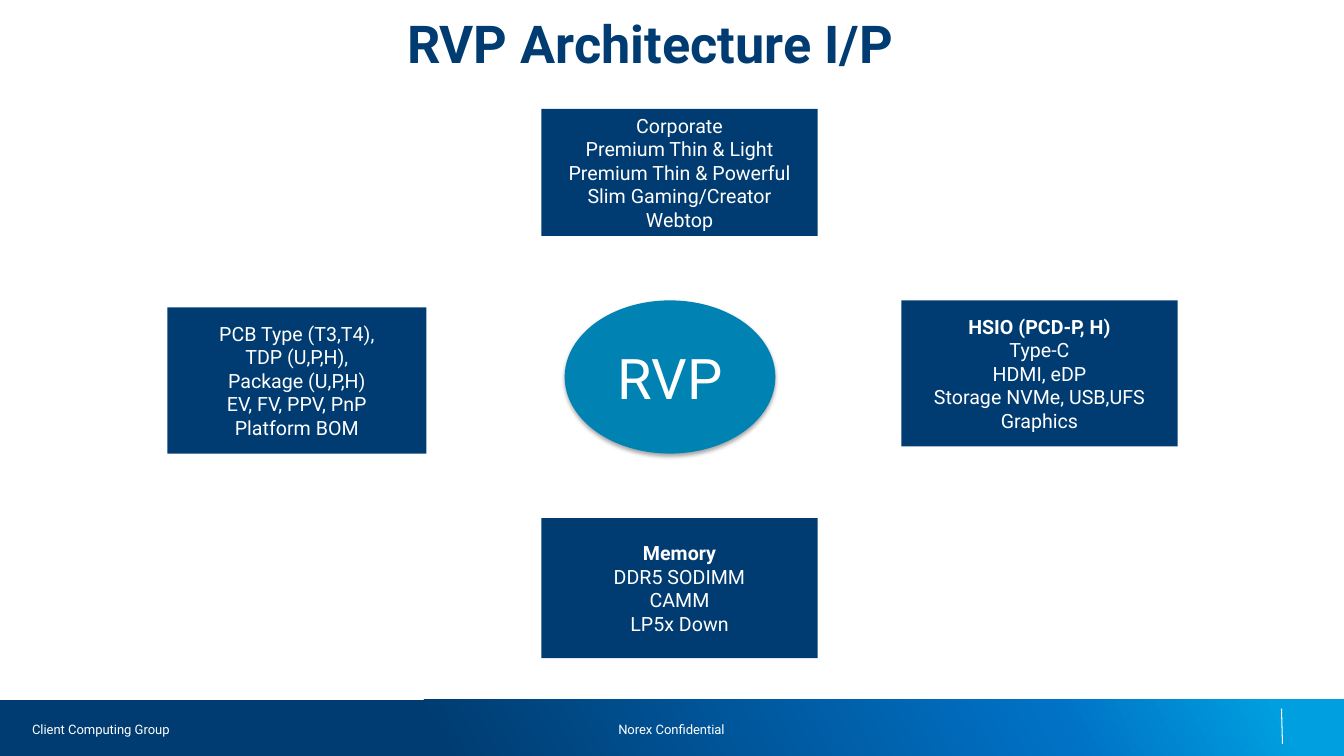
from copy import deepcopy

from lxml.etree import SubElement
from pptx import Presentation
from pptx.dml.color import RGBColor
from pptx.enum.shapes import MSO_CONNECTOR, MSO_SHAPE
from pptx.enum.text import MSO_ANCHOR, MSO_AUTO_SIZE, PP_ALIGN
from pptx.oxml import parse_xml
from pptx.oxml.ns import nsdecls, qn
from pptx.util import Inches, Pt

FONT = "Roboto"
NAVY = RGBColor(0x00, 0x3C, 0x71)
TEAL = RGBColor(0x00, 0x83, 0xB3)
BLUE = RGBColor(0x00, 0x71, 0xC5)
SKY = RGBColor(0x00, 0x9F, 0xDF)
WHITE = RGBColor(0xFF, 0xFF, 0xFF)

# Each topic: left, top, width, height, heading (or None), lines
TOPICS = [
    (5.37, 1.08, 2.74, 1.26, None,
     ["Corporate", "Premium Thin & Light", "Premium Thin & Powerful",
      "Slim Gaming/Creator", "Webtop"]),
    (1.66, 3.05, 2.57, 1.45, None,
     ["PCB Type (T3,T4),", "TDP (U,P,H),", "Package (U,P,H)",
      "EV, FV, PPV, PnP", "Platform BOM"]),
    (8.94, 2.98, 2.74, 1.45, "HSIO (PCD-P, H)",
     ["Type-C", "HDMI, eDP", "Storage NVMe, USB,UFS", "Graphics"]),
    (5.37, 5.14, 2.74, 1.39, "Memory",
     ["DDR5 SODIMM", "CAMM", "LP5x Down"]),
]


def set_margins(frame, side, end):
    frame.margin_left = frame.margin_right = Inches(side)
    frame.margin_top = frame.margin_bottom = Inches(end)


def write_lines(frame, lines, size, color=WHITE, heading=None):
    """Fill a frame with centred lines, the heading in bold."""
    for index, line in enumerate(([heading] if heading else []) + lines):
        para = frame.paragraphs[0] if index == 0 else frame.add_paragraph()
        para.text = line
        para.alignment = PP_ALIGN.CENTER
        para.font.name = FONT
        para.font.size = Pt(size)
        para.font.color.rgb = color
        para.font.bold = line == heading


def add_plain_shape(page, kind, left, top, width, height, color=None):
    shape = page.shapes.add_shape(
        kind, Inches(left), Inches(top), Inches(width), Inches(height))
    shape.shadow.inherit = False
    shape.line.fill.background()
    if color is not None:
        shape.fill.solid()
        shape.fill.fore_color.rgb = color
    shape.text_frame.word_wrap = True
    shape.text_frame.vertical_anchor = MSO_ANCHOR.MIDDLE
    return shape


def add_topic(page, left, top, width, height, heading, lines):
    box = add_plain_shape(page, MSO_SHAPE.RECTANGLE, left, top, width, height, NAVY)
    set_margins(box.text_frame, 0.04, 0.05)
    write_lines(box.text_frame, lines, 14, heading=heading)


def add_hub(page):
    hub = add_plain_shape(page, MSO_SHAPE.OVAL, 5.6, 2.98, 2.09, 1.52, TEAL)
    write_lines(hub.text_frame, ["RVP"], 40)
    effects = hub._element.spPr.find(qn("a:effectLst"))
    effects.append(parse_xml(
        f'<a:outerShdw {nsdecls("a")} blurRad="{Pt(3.1)}" dist="{Pt(1.8)}" '
        'dir="5400000" rotWithShape="0"><a:srgbClr val="000000">'
        '<a:alpha val="35000"/></a:srgbClr></a:outerShdw>'))


def add_footer_label(page, left, width, text):
    label = page.shapes.add_textbox(
        Inches(left), Inches(7.08), Inches(width), Inches(0.31))
    frame = label.text_frame
    frame.word_wrap = False
    frame.vertical_anchor = MSO_ANCHOR.MIDDLE
    set_margins(frame, 0.06, 0.06)
    write_lines(frame, [text], 9.3)


def add_footer(page):
    # Gradient band with three stops
    band = add_plain_shape(page, MSO_SHAPE.RECTANGLE, 0, 6.94, 13.33, 0.56)
    band.fill.gradient()
    band.fill.gradient_angle = 29
    stop_list = band._element.spPr.find(".//" + qn("a:gsLst"))
    stop_list.append(deepcopy(stop_list[-1]))
    stops = [(0.32, NAVY), (0.78, BLUE), (0.95, SKY)]
    for stop, (position, color) in zip(band.fill.gradient_stops, stops):
        stop.position = position
        stop.color.rgb = color

    # Divider
    divider = page.shapes.add_connector(
        MSO_CONNECTOR.STRAIGHT, Inches(12.71), Inches(7.03), Inches(12.72), Inches(7.38))
    divider.line.color.rgb = WHITE
    divider.line.width = Pt(0.75)
    SubElement(divider._element.spPr, qn("a:effectLst"))

    add_footer_label(page, 6.01, 1.3, "Norex Confidential")
    add_footer_label(page, 0.17, 1.66, "Client Computing Group")


def set_title(page, text):
    title = page.shapes.title
    title.left, title.top = Inches(0.45), Inches(0.11)
    title.width, title.height = Inches(12), Inches(0.97)
    frame = title.text_frame
    frame.auto_size = MSO_AUTO_SIZE.NONE
    frame.vertical_anchor = MSO_ANCHOR.TOP
    set_margins(frame, 0, 0)
    write_lines(frame, [], 37.3, NAVY, heading=text)


def main():
    deck = Presentation()
    deck.slide_width, deck.slide_height = Inches(13.33), Inches(7.5)
    page = deck.slides.add_slide(deck.slide_layouts[5])

    add_footer(page)
    set_title(page, "RVP Architecture I/P")
    add_hub(page)
    for topic in TOPICS:
        add_topic(page, *topic)

    deck.save("out.pptx")


if __name__ == "__main__":
    main()
